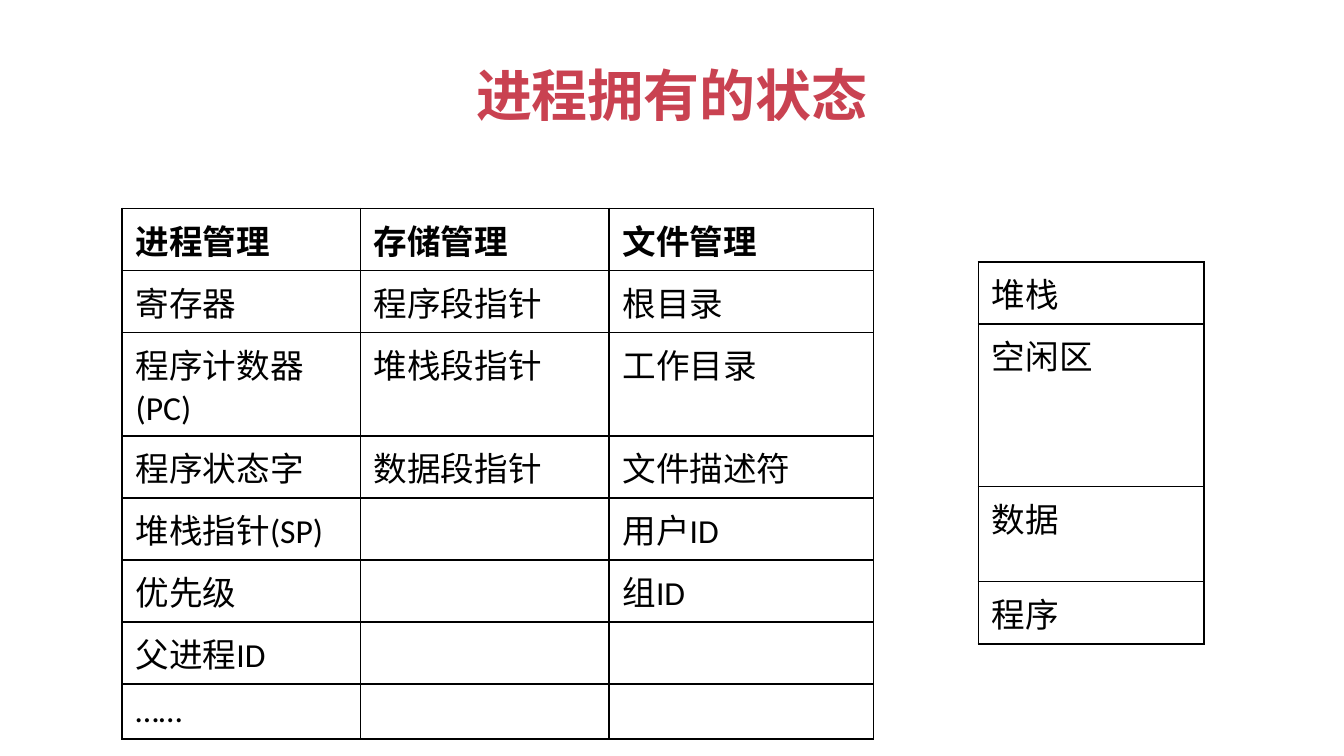
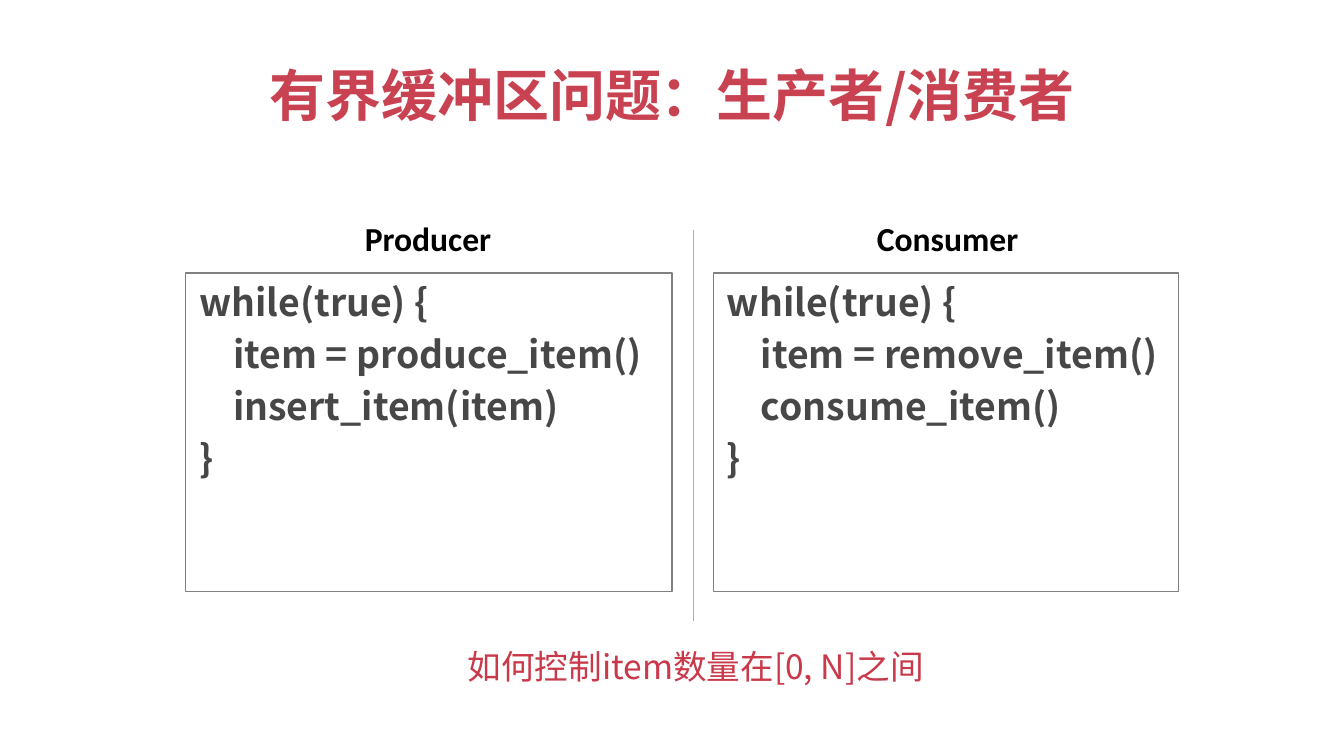
from pptx import Presentation
from pptx.dml.color import RGBColor
from pptx.enum.shapes import MSO_CONNECTOR, MSO_SHAPE
from pptx.enum.text import MSO_ANCHOR, MSO_AUTO_SIZE, PP_ALIGN
from pptx.oxml.ns import qn
from pptx.util import Cm, Pt
from lxml import etree

LEFT, CENTER = PP_ALIGN.LEFT, PP_ALIGN.CENTER
TOP, MIDDLE = MSO_ANCHOR.TOP, MSO_ANCHOR.MIDDLE
FIXED = MSO_AUTO_SIZE.NONE
RECT, STRAIGHT = MSO_SHAPE.RECTANGLE, MSO_CONNECTOR.STRAIGHT
TITLE_ONLY, TITLE_BODY = 5, 1

HAN = "Noto Sans CJK SC"
COLORS = {"title": "C94251", "ask": "C9394A", "code": "474747",
          "text": "000000", "frame": "808080", "split": "92D050"}
FONTS = {
    "title": {"name": HAN, "size": Pt(30), "bold": True},
    "code": {"name": HAN, "size": Pt(20), "bold": True},
    "ask": {"name": HAN, "size": Pt(18), "bold": False},
    "head": {"name": "Calibri", "size": Pt(18), "bold": True},
    "cell": {"name": "Calibri", "size": Pt(18), "bold": False},
}

STATE = [
    ["进程管理", "存储管理", "文件管理"],
    ["寄存器", "程序段指针", "根目录"],
    ["程序计数器(PC)", "堆栈段指针", "工作目录"],
    ["程序状态字", "数据段指针", "文件描述符"],
    ["堆栈指针(SP)", "", "用户ID"],
    ["优先级", "", "组ID"],
    ["父进程ID", "", ""],
    ["……", "", ""],
]
MEMORY = [["堆栈"], ["空闲区"], ["数据"], ["程序"]]
MAKER = ["while(true) {", "\titem = produce_item()", "\tinsert_item(item)", "}"]
TAKER = ["while(true) {", "\titem = remove_item()", "\tconsume_item()", "}"]


def color(name):
    """Return the named colour."""
    return RGBColor.from_string(COLORS[name])


def write(par, text, style, tint="text", align=LEFT):
    """Put one styled run into a paragraph."""
    par.alignment = align
    run = par.add_run()
    run.text = text
    for key, value in FONTS[style].items():
        setattr(run.font, key, value)
    run.font.color.rgb = color(tint)
    east = etree.SubElement(run.font._element, qn("a:ea"))
    east.set("typeface", HAN)


def place(shape, left, top, width, height):
    """Move and size a shape, in centimetres."""
    spots = {"left": left, "top": top, "width": width, "height": height}
    for key, value in spots.items():
        setattr(shape, key, Cm(value))


def start(deck, layout, text):
    """Add a slide with the shared title."""
    slide = deck.slides.add_slide(deck.slide_layouts[layout])
    title = slide.shapes.title
    place(title, 1.27, 0.58, 22.86, 2.39)
    frame = title.text_frame
    frame.vertical_anchor = MIDDLE
    frame.auto_size = FIXED
    write(frame.paragraphs[0], text, "title", "title", CENTER)
    return slide


def edge(cell):
    """Draw a thin black border on all sides of a cell."""
    props = cell._tc.get_or_add_tcPr()
    for spot, side in enumerate(("lnL", "lnR", "lnT", "lnB")):
        line = etree.Element(qn("a:" + side), w=str(Pt(1)))
        fill = etree.SubElement(line, qn("a:solidFill"))
        etree.SubElement(fill, qn("a:srgbClr"), val=COLORS["text"])
        props.insert(spot, line)


def grid(slide, data, left, top, widths, heights, head=False):
    """Add a plain ruled table."""
    table = slide.shapes.add_table(
        len(data), len(widths), Cm(left), Cm(top),
        Cm(sum(widths)), Cm(sum(heights))).table
    table.first_row = table.horz_banding = False
    for col, width in zip(table.columns, widths):
        col.width = Cm(width)
    for r, (row, height) in enumerate(zip(data, heights)):
        table.rows[r].height = Cm(height)
        for c, text in enumerate(row):
            cell = table.cell(r, c)
            cell.fill.background()
            edge(cell)
            if text:
                style = "head" if head and r == 0 else "cell"
                write(cell.text_frame.paragraphs[0], text, style)


def code(shape, lines):
    """Frame a shape and fill it with code, a tab marking an indent."""
    shape.fill.background()
    shape.line.color.rgb = color("frame")
    shape.line.width = Pt(0.75)
    frame = shape.text_frame
    frame.word_wrap = True
    frame.auto_size = FIXED
    frame.vertical_anchor = TOP
    for i, line in enumerate(lines):
        par = frame.add_paragraph() if i else frame.paragraphs[0]
        write(par, line.strip(), "code", "code")
        par.space_before = Pt(4)
        par.line_spacing = Pt(23.8)
        props = par._p.get_or_add_pPr()
        props.set("marL", str(Cm(0.64) if line.startswith("\t") else 0))
        props.set("indent", "0")
        etree.SubElement(props, qn("a:buNone"))


def label(slide, text, box, style, tint="text", align=LEFT, wrap=False):
    """Add a text box and return its paragraph."""
    shape = slide.shapes.add_textbox(*map(Cm, box))
    frame = shape.text_frame
    frame.word_wrap = wrap
    par = frame.paragraphs[0]
    write(par, text, style, tint, align)
    return par


def split(slide, x, top, end):
    """Draw the upright line between the two sides."""
    line = slide.shapes.add_connector(STRAIGHT, Cm(x), Cm(top), Cm(x), Cm(end))
    line.line.color.rgb = color("split")
    line.line.width = Pt(0.75)
    etree.SubElement(line._element.spPr, qn("a:effectLst"))


def states(deck):
    """Build the slide on process state."""
    slide = start(deck, TITLE_ONLY, "进程拥有的状态")
    grid(slide, STATE, 2.31, 3.94, [4.5, 4.7, 5], [1.04] * len(STATE), True)
    grid(slide, MEMORY, 18.49, 4.95, [4.27], [1.17, 3.07, 1.8, 1.17])


def buffer(deck):
    """Build the slide on the bounded buffer."""
    slide = start(deck, TITLE_BODY, "有界缓冲区问题：生产者/消费者")
    body = slide.placeholders[1]
    place(body, 3.51, 5.16, 9.19, 6.02)
    code(body, MAKER)
    rect = slide.shapes.add_shape(RECT, Cm(13.49), Cm(5.16), Cm(8.79), Cm(6.02))
    rect.shadow.inherit = False
    code(rect, TAKER)
    split(slide, 13.11, 4.34, 11.73)
    ask = label(slide, "如何控制item数量在[0, N]之间", (8.59, 12.09, 9.32, 1.02),
                "ask", "ask", wrap=True)
    ask.line_spacing = Pt(21.4)
    label(slide, "Producer", (6.63, 3.99, 2.92, 1.02), "head", align=CENTER)
    label(slide, "Consumer", (16.31, 3.99, 3.2, 1.02), "head", align=CENTER)


def main():
    """Build and save the deck."""
    deck = Presentation()
    deck.slide_width, deck.slide_height = Cm(25.4), Cm(14.29)
    states(deck)
    buffer(deck)
    deck.save("out.pptx")


main()
